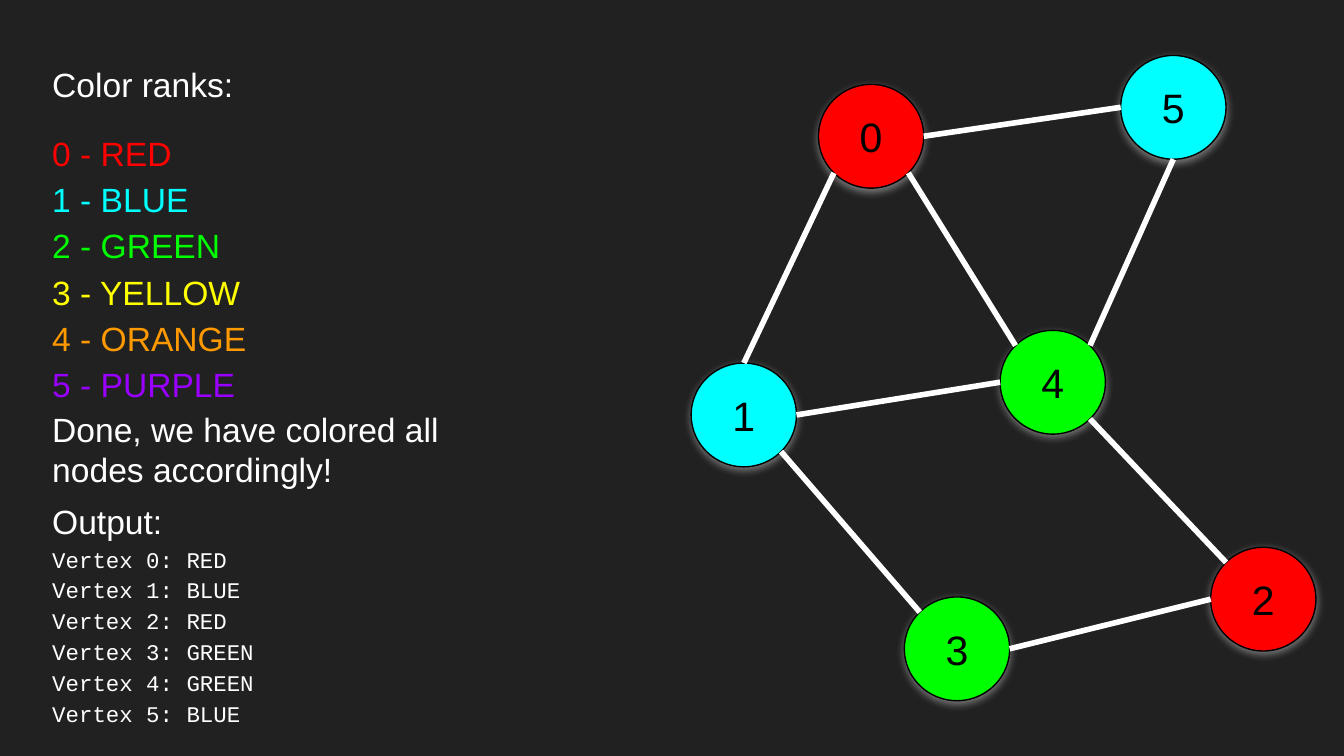
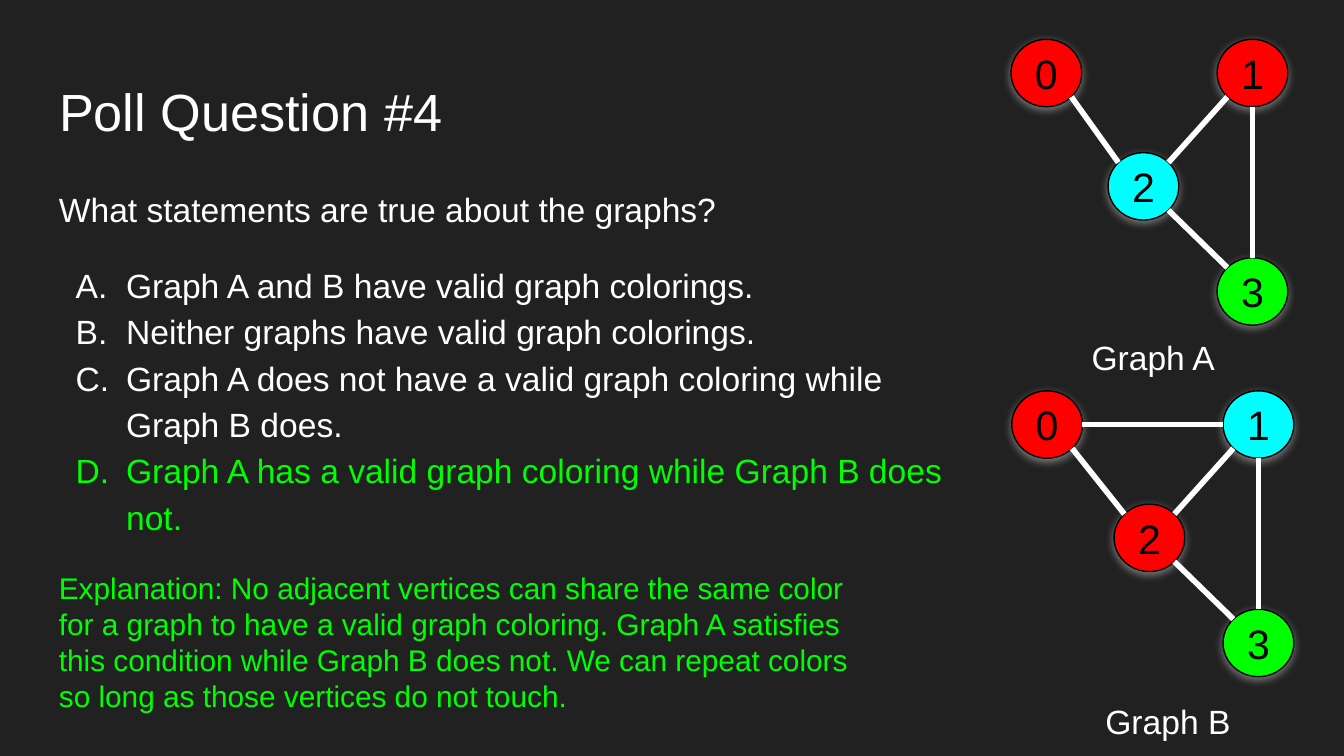
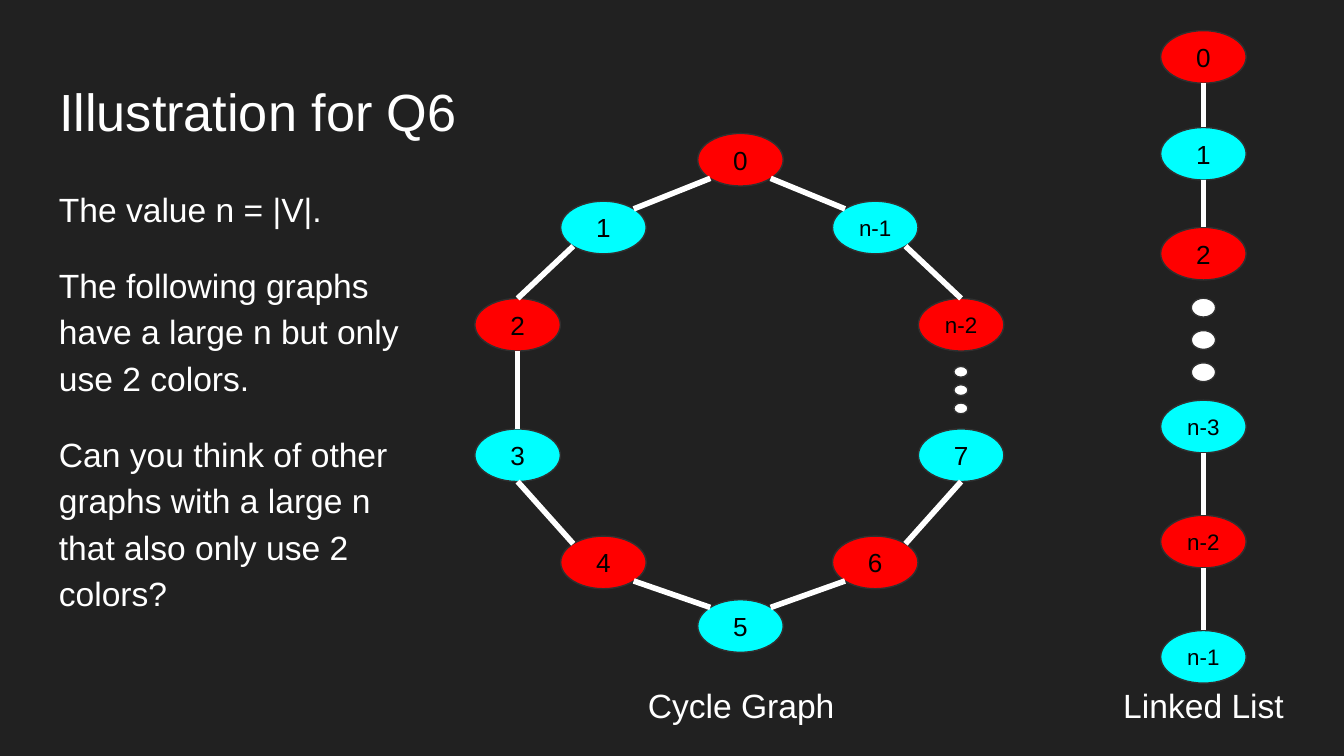
from dataclasses import dataclass
from math import sqrt

from lxml import etree
from pptx import Presentation
from pptx import util as u
from pptx.dml.color import RGBColor
from pptx.enum import shapes, text
from pptx.oxml.ns import qn


@dataclass(frozen=True)
class Theme:
    back: str = "212121"
    white: str = "FFFFFF"
    black: str = "000000"
    rim: str = "303030"
    red: str = "FF0000"
    blue: str = "00FFFF"
    green: str = "00FF00"
    yellow: str = "FFFF00"
    orange: str = "FF9900"
    purple: str = "9900FF"
    sans: str = "Arial"
    mono: str = "Courier New"
    head: float = 28
    node: float = 22
    body: float = 18
    note: float = 16
    digit: float = 14
    small: float = 12
    inset: float = 7.2
    lead: float = 1.15


T = Theme()
DIAG = sqrt(0.5)
SITES = {
    "n": (0, -1), "s": (0, 1), "w": (-1, 0), "e": (1, 0),
    "nw": (-DIAG, -DIAG), "ne": (DIAG, -DIAG),
    "sw": (-DIAG, DIAG), "se": (DIAG, DIAG),
}


@dataclass
class Line:
    words: str
    color: str = T.white
    size: float = T.body
    font: str = T.sans
    lead: float = T.lead
    before: float = 0
    after: float = 0
    align: object = text.PP_ALIGN.LEFT
    letter: bool = False


class Deck:
    def __init__(self):
        self.prs = Presentation()
        self.prs.slide_width = u.Pt(720)
        self.prs.slide_height = u.Pt(405)
        fill = self.prs.slide_master.background.fill
        fill.solid()
        fill.fore_color.rgb = RGBColor.from_string(T.back)
        self.slide = None

    def page(self, title=None, width=0):
        layout = self.prs.slide_layouts[5 if title else 6]
        self.slide = self.prs.slides.add_slide(layout)
        if title:
            shape = self.slide.shapes.title
            shape.left, shape.top = u.Pt(24.5), u.Pt(35.3)
            shape.width, shape.height = u.Pt(width), u.Pt(45.4)
            self.put(shape.text_frame, [Line(title, size=T.head, lead=1)])

    def put(self, frame, lines, inset=T.inset, anchor=text.MSO_ANCHOR.TOP):
        frame.word_wrap = True
        frame.auto_size = text.MSO_AUTO_SIZE.NONE
        frame.vertical_anchor = anchor
        frame.margin_left = frame.margin_right = u.Pt(inset)
        frame.margin_top = frame.margin_bottom = u.Pt(inset)
        for i, line in enumerate(lines):
            para = frame.add_paragraph() if i else frame.paragraphs[0]
            para.alignment = line.align
            para.line_spacing = line.lead
            para.space_before = u.Pt(line.before)
            para.space_after = u.Pt(line.after)
            run = para.add_run()
            run.text = line.words
            run.font.name = line.font
            run.font.size = u.Pt(line.size)
            run.font.color.rgb = RGBColor.from_string(line.color)
            if line.letter:
                self.letter(para, line)

    def letter(self, para, line):
        props = para._p.get_or_add_pPr()
        props.set("marL", str(u.Pt(36)))
        props.set("indent", str(u.Pt(-27)))
        tint = etree.SubElement(props, qn("a:buClr"))
        etree.SubElement(tint, qn("a:srgbClr"), val=line.color)
        etree.SubElement(props, qn("a:buFont"), typeface=line.font)
        etree.SubElement(props, qn("a:buAutoNum"), type="alphaUcPeriod")

    def text(self, box, lines):
        shape = self.slide.shapes.add_textbox(*map(u.Pt, box))
        self.put(shape.text_frame, lines)

    def label(self, box, words):
        self.text(box, [Line(words, lead=1, align=text.PP_ALIGN.CENTER)])

    def oval(self, box, color, rim=T.rim):
        shape = self.slide.shapes.add_shape(
            shapes.MSO_SHAPE.OVAL, *map(u.Pt, box))
        shape.shadow.inherit = False
        shape.fill.solid()
        shape.fill.fore_color.rgb = RGBColor.from_string(color)
        shape.line.color.rgb = RGBColor.from_string(rim)
        shape.line.width = u.Pt(0.75)
        return shape

    def node(self, box, words, color, size, rim=T.rim):
        shape = self.oval(box, color, rim)
        line = Line(words, T.black, size, lead=1, align=text.PP_ALIGN.CENTER)
        self.put(shape.text_frame, [line], 0, text.MSO_ANCHOR.MIDDLE)
        return shape

    def glow(self, box, words, color):
        shape = self.node(box, words, color, T.node, T.black)
        effect = shape._element.spPr.find(qn("a:effectLst"))
        shade = etree.SubElement(
            effect, qn("a:outerShdw"), blurRad=str(u.Pt(4.5)),
            dist=str(u.Pt(1.5)), dir="5400000", algn="bl", rotWithShape="0")
        tint = etree.SubElement(shade, qn("a:srgbClr"), val=T.white)
        etree.SubElement(tint, qn("a:alpha"), val="40000")
        return shape

    def site(self, shape, name):
        dx, dy = SITES[name]
        return (int(shape.left + shape.width * (1 + dx) / 2),
                int(shape.top + shape.height * (1 + dy) / 2))

    def edges(self, nodes, links):
        for a, start, b, end in links:
            line = self.slide.shapes.add_connector(
                shapes.MSO_CONNECTOR.STRAIGHT,
                *self.site(nodes[a], start), *self.site(nodes[b], end))
            line.line.color.rgb = RGBColor.from_string(T.white)
            line.line.width = u.Pt(3)
            etree.SubElement(line._element.spPr, qn("a:effectLst"))

    def dots(self, box, step):
        x, y, w, h = box
        for i in range(3):
            self.oval((x, y + i * step, w, h), T.white)


def ranks(deck):
    deck.page()
    hues = [("RED", T.red), ("BLUE", T.blue), ("GREEN", T.green),
            ("YELLOW", T.yellow), ("ORANGE", T.orange), ("PURPLE", T.purple)]
    deck.text((20.9, 23.8, 322.6, 198.7), [Line("Color ranks:", before=12)] + [
        Line(f"{i} - {name}", hue, before=0 if i else 12)
        for i, (name, hue) in enumerate(hues)])
    deck.text((20.9, 211.7, 251.3, 101.5), [
        Line("Done, we have colored all nodes accordingly!", lead=1)])
    spots = [(438.5, 45.2, "RED"), (370.3, 194.5, "BLUE"),
             (648.6, 293.2, "RED"), (484.5, 319.8, "GREEN"),
             (535.8, 177, "GREEN"), (600.4, 29.7, "BLUE")]
    deck.text((20.9, 261.4, 529.2, 153.4), [Line("Output:", lead=1)] + [
        Line(f"Vertex {i}: {name}", size=T.small, font=T.mono)
        for i, (x, y, name) in enumerate(spots)])
    paint = dict(hues)
    nodes = [deck.glow((x, y, 56.4, 55.6), str(i), paint[name])
             for i, (x, y, name) in enumerate(spots)]
    deck.edges(nodes, [
        (0, "sw", 1, "n"), (1, "se", 3, "nw"), (1, "e", 4, "w"),
        (0, "se", 4, "nw"), (0, "e", 5, "w"), (5, "s", 4, "ne"),
        (4, "se", 2, "nw"), (2, "w", 3, "e")])


def graph(deck, left, top, span, colors, extra=()):
    spots = [(0, 0), (span, 0), (span - 58.4, 60.7), (span, 117)]
    nodes = [deck.glow((left + x, top + y, 37.9, 36.1), str(i), color)
             for i, ((x, y), color) in enumerate(zip(spots, colors))]
    deck.edges(nodes, [(0, "se", 2, "nw"), (2, "se", 3, "nw"),
                       (2, "ne", 1, "sw"), (1, "s", 3, "n"), *extra])


def poll(deck):
    deck.page("Poll Question #4", 283.7)
    deck.text((24.5, 90.7, 492.5, 288), [
        Line("What statements are true about the graphs?"),
        Line("Graph A and B have valid graph colorings.",
             before=16, letter=True),
        Line("Neither graphs have valid graph colorings.", letter=True),
        Line("Graph A does not have a valid graph coloring while "
             "Graph B does.", letter=True),
        Line("Graph A has a valid graph coloring while Graph B does not.",
             T.green, letter=True)])
    graph(deck, 541.6, 21.1, 110.4, (T.red, T.red, T.blue, T.green))
    graph(deck, 542, 209.4, 113.2, (T.red, T.blue, T.red, T.green),
          [(0, "e", 1, "w")])
    deck.label((550.1, 173.5, 135.4, 36), "Graph A")
    deck.label((558, 368.6, 135.4, 36), "Graph B")
    deck.text((24.5, 298.1, 455.8, 92.2), [Line(
        "Explanation: No adjacent vertices can share the same color for a "
        "graph to have a valid graph coloring. Graph A satisfies this "
        "condition while Graph B does not. We can repeat colors so long as "
        "those vertices do not touch.", T.green, T.note, lead=1)])


def chain(deck, names, spots, hues=(T.red, T.blue)):
    return [deck.node((x, y, 45.8, 28.2), name, hues[i % 2],
                      T.digit if name.isdigit() else T.small)
            for i, (name, (x, y)) in enumerate(zip(names, spots))]


def cycle(deck):
    cols = [254.4, 300.4, 373.8, 446, 492]
    rows = [71.5, 107.8, 159.9, 229.8, 287.2, 321.3]
    grid = [(2, 0), (1, 1), (0, 2), (0, 3), (1, 4),
            (2, 5), (3, 4), (4, 3), (4, 2), (3, 1)]
    names = [str(i) for i in range(8)] + ["n-2", "n-1"]
    nodes = chain(deck, names, [(cols[c], rows[r]) for c, r in grid])
    deck.dots((511, 196.3, 7.6, 5.8), 9.8)
    deck.edges(nodes, [
        (0, "sw", 1, "ne"), (1, "sw", 2, "n"), (2, "s", 3, "n"),
        (3, "s", 4, "nw"), (4, "se", 5, "nw"), (6, "sw", 5, "ne"),
        (6, "ne", 7, "s"), (8, "n", 9, "se"), (9, "nw", 0, "se")])
    deck.label((313.9, 360, 166.3, 36), "Cycle Graph")


def linked(deck):
    left = 621.8
    nodes = chain(deck, ["0", "1", "2"],
                  [(left, y) for y in (16.4, 68.3, 121.8)])
    nodes += chain(deck, ["n-3", "n-2", "n-1"],
                   [(left, 214.4 + i * 61.7) for i in range(3)],
                   (T.blue, T.red))
    deck.edges(nodes, [(i, "s", i + 1, "n") for i in (0, 1, 3, 4)])
    deck.dots((638.2, 159.8, 13, 10.1), 17.3)
    deck.label((561.6, 360, 166.3, 36), "Linked List")


def pairs(deck):
    deck.page("Illustration for Q6", 311.8)
    deck.text((24.5, 90.7, 201.6, 269.3), [
        Line("The value n = |V|."),
        Line("The following graphs have a large n but only use 2 colors.",
             before=16),
        Line("Can you think of other graphs with a large n that also only "
             "use 2 colors?", before=16, after=16)])
    linked(deck)
    cycle(deck)


def main():
    deck = Deck()
    ranks(deck)
    poll(deck)
    pairs(deck)
    deck.prs.save("out.pptx")


if __name__ == "__main__":
    main()
